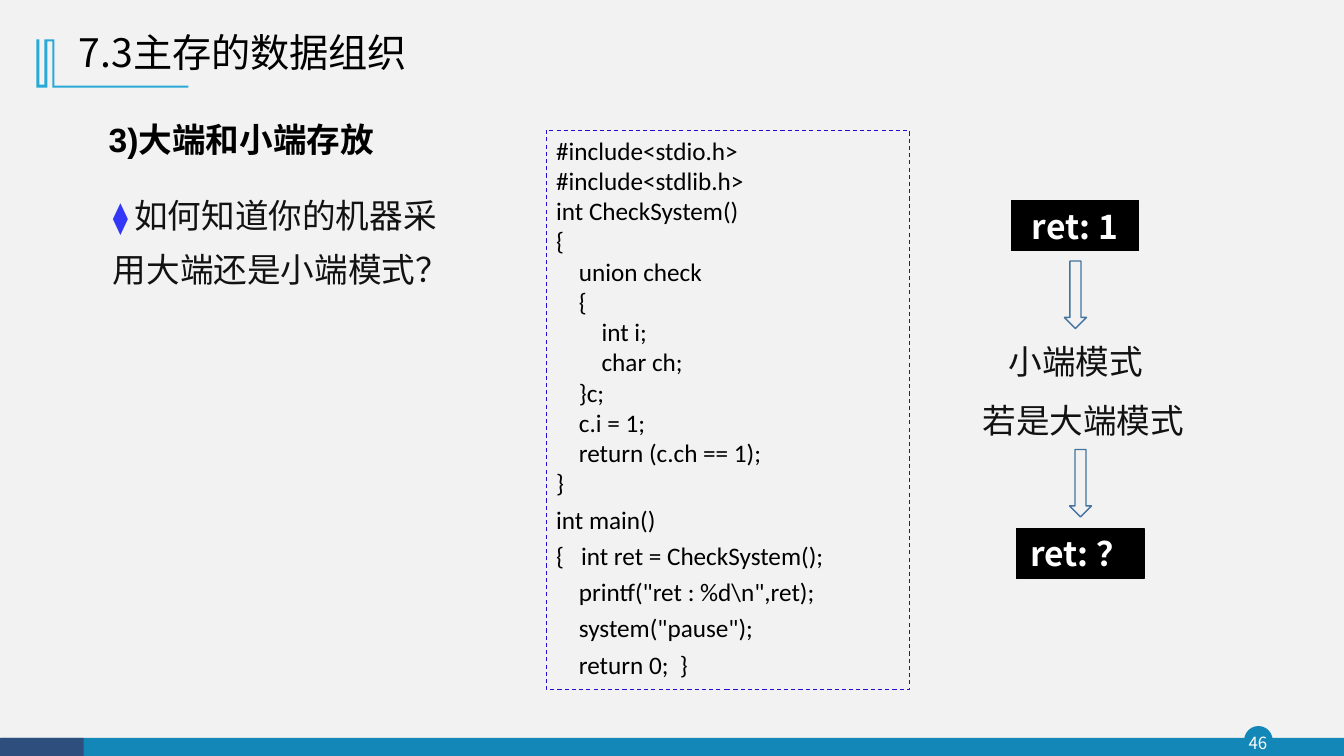
from dataclasses import dataclass, field
from typing import NamedTuple, Optional

from lxml.etree import SubElement
from pptx import Presentation
from pptx.dml.color import RGBColor
from pptx.enum.dml import MSO_LINE
from pptx.enum.shapes import MSO_SHAPE
from pptx.enum.text import MSO_ANCHOR, MSO_AUTO_SIZE, PP_ALIGN
from pptx.oxml.ns import qn
from pptx.util import Pt


@dataclass(frozen=True)
class Theme:
    background: str = "F2F2F2"
    ink: str = "000000"
    body: str = "121212"
    white: str = "FFFFFF"
    bar: str = "1387B7"
    bar_start: str = "2E4E7E"
    frame: str = "28A9D6"
    code_border: str = "240CD2"
    bullet: str = "3438F6"
    arrow: str = "43739E"
    sans: str = "Arial"
    cjk: str = "Noto Sans CJK SC"
    code: str = "Calibri"
    title_size: float = 28
    text_size: float = 24
    bullet_size: float = 22
    gap_size: float = 20
    code_size: float = 18
    number_size: float = 12


THEME = Theme()


class Box(NamedTuple):
    left: float
    top: float
    width: float
    height: float

    def points(self) -> list:
        return [Pt(value) for value in self]


@dataclass(frozen=True)
class Run:
    text: str
    size: float = THEME.text_size
    color: str = THEME.body
    font: str = THEME.sans
    bold: bool = False


@dataclass(frozen=True)
class Line:
    runs: list
    format: dict = field(default_factory=dict)


@dataclass(frozen=True)
class Block:
    box: Box
    kind: MSO_SHAPE = MSO_SHAPE.RECTANGLE
    fill: Optional[str] = None
    border: Optional[str] = None
    weight: float = 0.75
    dash: Optional[MSO_LINE] = None
    lines: list = field(default_factory=list)


def set_attributes(target, values: dict) -> None:
    for name, value in values.items():
        setattr(target, name, value)


def write(frame, lines: list, **frame_format) -> None:
    set_attributes(frame, {"word_wrap": True, "auto_size": MSO_AUTO_SIZE.NONE,
                           "vertical_anchor": MSO_ANCHOR.TOP, **frame_format})
    for index, line in enumerate(lines):
        paragraph = frame.paragraphs[0] if index == 0 else frame.add_paragraph()
        set_attributes(paragraph, {"alignment": PP_ALIGN.LEFT, "space_before": Pt(0),
                                   **line.format})
        for part in line.runs:
            run = paragraph.add_run()
            run.text = part.text
            set_attributes(run.font, {"name": part.font, "size": Pt(part.size),
                                      "bold": part.bold})
            run.font.color.rgb = RGBColor.from_string(part.color)
            SubElement(run.font._element, qn("a:ea")).set("typeface", THEME.cjk)


def paint(shape, fill: Optional[str], border: Optional[str] = None,
          weight: float = 0.75, dash: Optional[MSO_LINE] = None) -> None:
    shape.shadow.inherit = False
    for part, color in ((shape.fill, fill), (shape.line.fill, border)):
        if color is None:
            part.background()
        else:
            part.solid()
            part.fore_color.rgb = RGBColor.from_string(color)
    if border:
        set_attributes(shape.line, {"width": Pt(weight), "dash_style": dash})


def add_block(slide, block: Block) -> None:
    shape = slide.shapes.add_shape(block.kind, *block.box.points())
    paint(shape, block.fill, block.border, block.weight, block.dash)
    if block.lines:
        write(shape.text_frame, block.lines)


def add_text(slide, box: Box, line: Line, **frame_format) -> None:
    frame = slide.shapes.add_textbox(*box.points()).text_frame
    write(frame, [line], **frame_format)


def fill_placeholder(placeholder, box: Box, line: Line, **frame_format) -> None:
    set_attributes(placeholder, dict(zip(("left", "top", "width", "height"), box.points())))
    write(placeholder.text_frame, [line], **frame_format)


def result_block(box: Box, text: str) -> Block:
    result = Run(text, color=THEME.white, font=THEME.cjk, bold=True)
    return Block(box, fill=THEME.ink, border=THEME.ink,
                 lines=[Line([result], {"alignment": PP_ALIGN.CENTER})])


def arrow_block(left: float, top: float) -> Block:
    return Block(Box(left, top, 15.8, 48.2), MSO_SHAPE.DOWN_ARROW,
                 border=THEME.arrow, weight=1)


CHECK_FUNCTION = """#include<stdio.h>
#include<stdlib.h>
int CheckSystem()
{
    union check
    {
        int i;
        char ch;
    }c;
    c.i = 1;
    return (c.ch == 1);
}"""
MAIN_FUNCTION = r"""int main()
{   int ret = CheckSystem();
    printf("ret : %d\n",ret);
    system("pause");
    return 0;  }"""
TITLE_FRAME = [(38.9, 28.1), (38.9, 61.2), (134.6, 61.2), (134.6, 62.6), (37.4, 62.6),
               (37.4, 29.5), (33.8, 29.5), (33.8, 62.6), (25.9, 62.6), (25.9, 28.1),
               (28.1, 28.1), (28.1, 60.5), (31.7, 60.5), (31.7, 28.1)]


def code_lines(source: str, line_format: dict) -> list:
    return [Line([Run(text, THEME.code_size, THEME.ink, THEME.code)], line_format)
            for text in source.split("\n")]


def main() -> None:
    deck = Presentation()
    set_attributes(deck, {"slide_width": Pt(960), "slide_height": Pt(540)})
    slide = deck.slides.add_slide(deck.slide_layouts[1])
    slide.background.fill.solid()
    slide.background.fill.fore_color.rgb = RGBColor.from_string(THEME.background)

    # Footer with slide number
    for block in (
        Block(Box(889.2, 519.1, 19.4, 19.4), MSO_SHAPE.OVAL, THEME.bar, THEME.bar, 1),
        Block(Box(0.7, 527, 959.3, 13.7), fill=THEME.bar),
        Block(Box(0, 527, 59.8, 13.7), fill=THEME.bar_start),
    ):
        add_block(slide, block)
    page_number = Run("46", THEME.number_size, THEME.white, THEME.cjk)
    add_text(slide, Box(887, 519.1, 23, 22.3),
             Line([page_number], {"alignment": PP_ALIGN.CENTER}),
             vertical_anchor=MSO_ANCHOR.MIDDLE, margin_left=0, margin_top=0,
             margin_right=0, margin_bottom=0)

    # Title and its corner frame
    corners = [(Pt(x), Pt(y)) for x, y in TITLE_FRAME]
    outline = slide.shapes.build_freeform(*corners[0])
    outline.add_line_segments(corners[1:], close=True)
    paint(outline.convert_to_shape(), THEME.frame)
    title = Run("7.3主存的数据组织", THEME.title_size, THEME.ink, THEME.cjk)
    fill_placeholder(slide.shapes.title, Box(49, 14.4, 600.5, 49),
                     Line([title], {"line_spacing": 0.9}),
                     vertical_anchor=MSO_ANCHOR.MIDDLE)

    # Heading and question
    heading = Run("3)大端和小端存放", color=THEME.ink, bold=True)
    add_text(slide, Box(70.6, 71.3, 708.5, 42.5), Line([heading], {"line_spacing": 1.35}))
    question = slide.placeholders[1]
    fill_placeholder(question, Box(73.4, 125.3, 267.1, 85.7), Line([
        Run("⧫", THEME.bullet_size, THEME.bullet),
        Run(" ", THEME.gap_size, THEME.bullet),
        Run("如何知道你的机器采用大端还是小端模式？"),
    ], {"line_spacing": 1.35}))
    properties = question.text_frame.paragraphs[0]._p.get_or_add_pPr()
    for name in ("marL", "indent"):
        properties.set(name, "0")
    SubElement(properties, qn("a:buNone"))

    # Code listing
    listing = (code_lines(CHECK_FUNCTION, {"alignment": PP_ALIGN.JUSTIFY})
               + code_lines(MAIN_FUNCTION, {"line_spacing": 1.2}))
    add_block(slide, Block(Box(390.2, 92.9, 259.2, 399.6), border=THEME.code_border,
                           dash=MSO_LINE.DASH, lines=listing))

    # Results for each byte order
    for block in (
        result_block(Box(722.2, 143.3, 91.4, 36), "ret: 1"),
        arrow_block(760.3, 186.5),
        arrow_block(763.9, 321.1),
        result_block(Box(725.8, 377.3, 91.4, 36), "ret: ？"),
    ):
        add_block(slide, block)
    for box, mode in ((Box(713.5, 239.8, 125.3, 36), "小端模式"),
                      (Box(694.8, 282.2, 172.8, 36), "若是大端模式")):
        add_text(slide, box, Line([Run(mode)]))

    deck.save("out.pptx")


if __name__ == "__main__":
    main()
